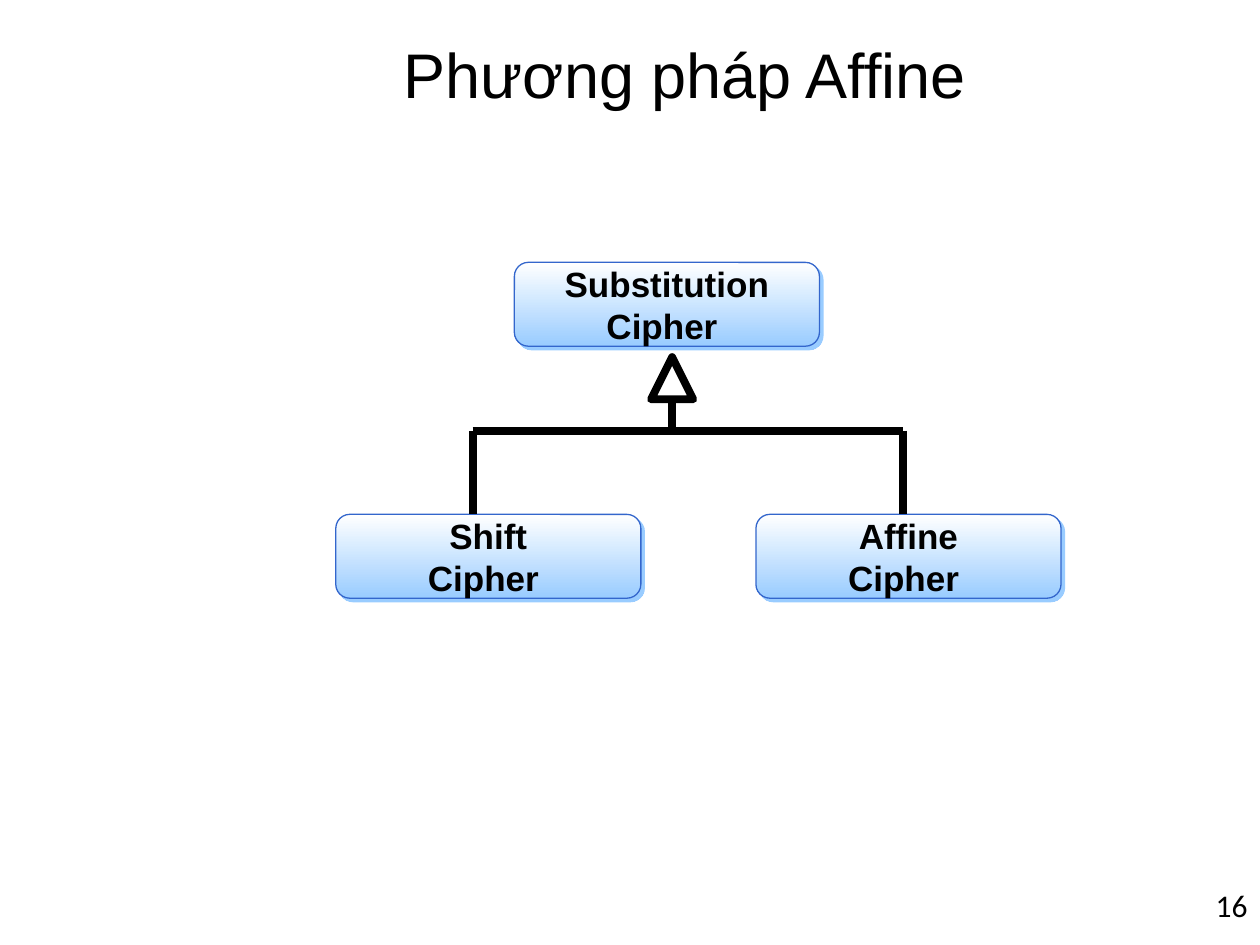
from lxml.etree import SubElement
from pptx import Presentation
from pptx.dml.color import RGBColor
from pptx.enum.shapes import MSO_CONNECTOR, MSO_SHAPE
from pptx.enum.text import MSO_ANCHOR, PP_ALIGN
from pptx.oxml.ns import qn
from pptx.util import Cm, Pt

BOX_WIDTH, BOX_HEIGHT = 6.15, 1.69
CHILD_TOP = 10.37
BAR_LEFT, BAR_RIGHT, BAR_Y = 9.53, 18.2, 8.68
ARROW_X, ARROW_TOP, ARROW_SIZE = 13.55, 7.2, 0.85


def color(hex_string):
    return RGBColor.from_string(hex_string)


class DiagramSlide:
    text_font = "Arial"
    ink = "000000"
    box_top_color = "FFFFFF"
    box_bottom_color = "99CCFF"
    box_line_color = "3366CC"
    line_width = Pt(4.5)

    def __init__(self, presentation):
        self.slide = presentation.slides.add_slide(presentation.slide_layouts[5])
        self.shapes = self.slide.shapes

    def set_text(self, text_frame, lines, size, align, anchor, bold=False, font=None):
        text_frame.word_wrap = True
        text_frame.vertical_anchor = anchor
        text_frame.text = "\n".join(lines)
        for paragraph in text_frame.paragraphs:
            paragraph.alignment = align
            paragraph.font.name = font or self.text_font
            paragraph.font.size = Pt(size)
            paragraph.font.bold = bold
            paragraph.font.color.rgb = color(self.ink)

    def title(self, text, left, top, width, height):
        title = self.shapes.title
        title.left, title.top = Cm(left), Cm(top)
        title.width, title.height = Cm(width), Cm(height)
        self.set_text(title.text_frame, [text], 36, PP_ALIGN.CENTER, MSO_ANCHOR.MIDDLE)

    def add_offset_shadow(self, shape):
        """Give the shape a sharp shadow, down and to the right."""
        shape.shadow.inherit = False
        effects = shape._element.spPr.find(qn("a:effectLst"))
        shadow = SubElement(effects, qn("a:outerShdw"), dist=str(Pt(2.8)),
                            dir="2700000", algn="ctr", rotWithShape="0")
        SubElement(shadow, qn("a:srgbClr"), val=self.box_bottom_color)

    def box(self, lines, left, top):
        shape = self.shapes.add_shape(MSO_SHAPE.ROUNDED_RECTANGLE, Cm(left), Cm(top),
                                      Cm(BOX_WIDTH), Cm(BOX_HEIGHT))
        shape.fill.gradient()
        shape.fill.gradient_angle = 270
        stops = shape.fill.gradient_stops
        for stop, position, stop_color in zip(
                stops, (0, 1), (self.box_top_color, self.box_bottom_color)):
            stop.position = position
            stop.color.rgb = color(stop_color)
        shape.line.color.rgb = color(self.box_line_color)
        shape.line.width = Pt(0.75)
        self.add_offset_shadow(shape)
        self.set_text(shape.text_frame, lines, 20, PP_ALIGN.CENTER,
                      MSO_ANCHOR.MIDDLE, bold=True)

    def line(self, x1, y1, x2, y2):
        connector = self.shapes.add_connector(MSO_CONNECTOR.STRAIGHT,
                                              Cm(x1), Cm(y1), Cm(x2), Cm(y2))
        connector.line.color.rgb = color(self.ink)
        connector.line.width = self.line_width
        SubElement(connector._element.spPr, qn("a:effectLst"))

    def hollow_triangle(self, center_x, top, size):
        shape = self.shapes.add_shape(MSO_SHAPE.ISOSCELES_TRIANGLE,
                                      Cm(center_x - size / 2), Cm(top), Cm(size), Cm(size))
        shape.shadow.inherit = False
        shape.fill.background()
        shape.line.color.rgb = color(self.ink)
        shape.line.width = self.line_width

    def page_number(self, text, left, top, width, height):
        text_box = self.shapes.add_textbox(Cm(left), Cm(top), Cm(width), Cm(height))
        self.set_text(text_box.text_frame, [text], 18, PP_ALIGN.RIGHT,
                      MSO_ANCHOR.TOP, font="Calibri")


def main():
    presentation = Presentation()
    presentation.slide_width, presentation.slide_height = Cm(25.4), Cm(19.05)

    diagram = DiagramSlide(presentation)
    diagram.title("Phương pháp Affine ", 3.84, 0.13, 20.29, 2.69)

    diagram.box(["Substitution Cipher "], 10.37, 5.29)
    for name, left in (("Shift", 6.77), ("Affine", 15.24)):
        diagram.box([name, "Cipher "], left, CHILD_TOP)

    diagram.line(BAR_LEFT, BAR_Y, BAR_RIGHT, BAR_Y)
    for x in (BAR_LEFT, BAR_RIGHT):
        diagram.line(x, BAR_Y, x, CHILD_TOP)
    diagram.hollow_triangle(ARROW_X, ARROW_TOP, ARROW_SIZE)
    diagram.line(ARROW_X, ARROW_TOP + ARROW_SIZE, ARROW_X, BAR_Y)

    diagram.page_number("16", 19.48, 17.73, 5.92, 1.32)
    presentation.save("out.pptx")


if __name__ == "__main__":
    main()
